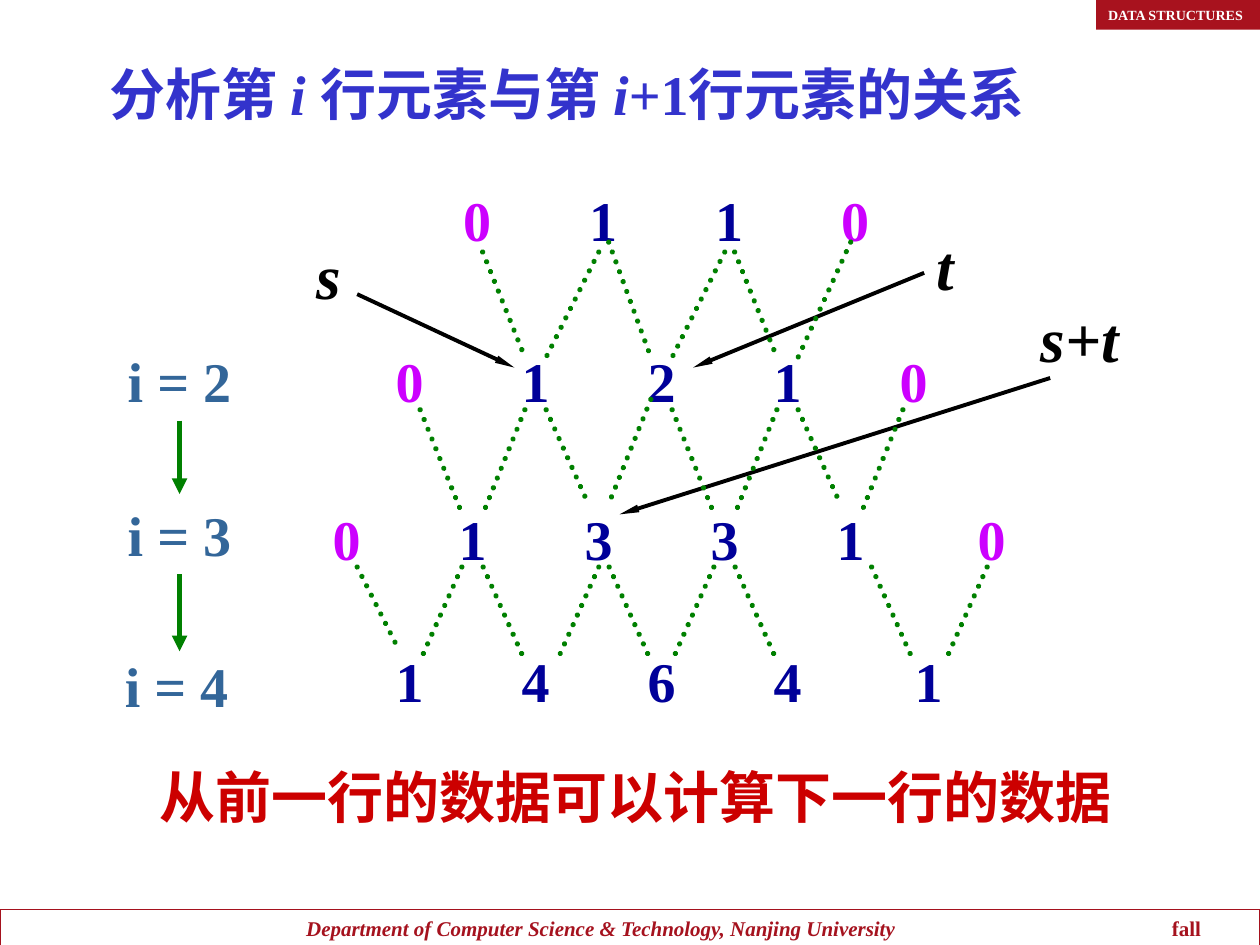
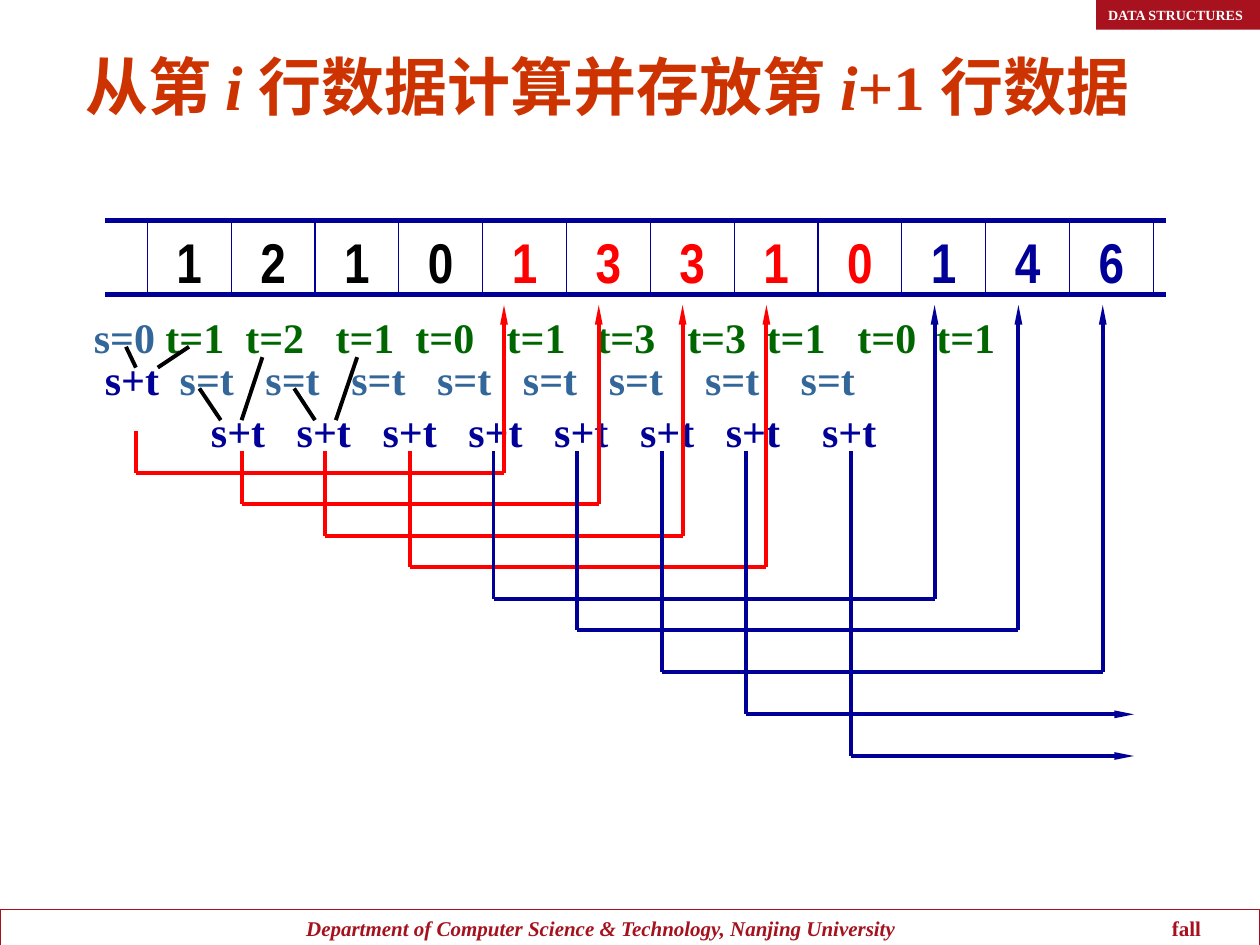
from lxml.etree import SubElement
from pptx import Presentation
from pptx.dml.color import RGBColor
from pptx.enum.dml import MSO_LINE
from pptx.enum.shapes import MSO_CONNECTOR, MSO_SHAPE
from pptx.enum.text import MSO_ANCHOR, PP_ALIGN
from pptx.oxml.ns import qn
from pptx.util import Cm, Pt

COLORS = {
    "white": "FFFFFF",
    "black": "000000",
    "crimson": "A5121E",
    "tag": "A8121E",
    "blue_title": "3333CC",
    "orange_title": "CC3300",
    "conclusion": "CC0000",
    "steel": "336699",
    "green": "008000",
    "dark_green": "006600",
    "navy": "000099",
    "magenta": "CC00FF",
    "red": "FF0000",
}
SERIF = "Times New Roman"
NARROW = "Arial Narrow"
SLIDE_WIDTH, SLIDE_HEIGHT = 25.4, 19.05
THIN_HEAD = ("sm", "lg")
WIDE_HEAD = ("med", "med")

NUMBER_PITCH = 2.54
TRIANGLE = [
    (9.62, 3.61, "0110", 0),
    (8.26, 6.86, "01210", 0),
    (6.99, 10.03, "013310", 0.3),
    (8.26, 12.9, "14641", 0.3),
]
LINKS = [
    (5.08, 7.2, 0.85, [9.73, 14.81]),
    (4.88, 7.2, 0.85, [12.27]),
    (5.08, 7.2, -1.06, [12.07, 14.61]),
    (4.88, 7.2, -1.06, [17.15]),
    (8.26, 10.37, 0.85, [8.47, 13.55]),
    (8.26, 10.16, 0.85, [11.01, 16.09]),
    (8.26, 10.37, -0.85, [10.58, 15.66, 18.2]),
    (8.05, 10.16, -0.85, [13.12]),
    (11.43, 13.12, 0.85, [7.2]),
    (11.43, 13.34, 0.85, [9.74, 12.28, 14.82, 17.57]),
    (11.43, 13.34, -0.85, [9.31, 12.07, 14.39, 19.9]),
]
POINTERS = [
    ("s", 6.63, 4.65, (7.2, 5.93), (10.37, 7.41)),
    ("t", 19.05, 4.45, (18.63, 5.5), (13.97, 7.41)),
    ("s+t", 21.77, 5.92, (21.17, 7.62), (12.49, 10.37)),
]

CELL_LEFT, CELL_PITCH = 2.97, 1.69
CELL_TOP, CELL_BOTTOM = 4.45, 5.93
CELL_GROUPS = [("1210", "black"), ("13310", "red"), ("146", "navy")]
T_VALUES = "1210133101"
T_CENTRES = [3.93, 5.54, 7.36, 8.97, 10.81, 12.62, 14.45, 16.05, 17.88, 19.47]
STEP = 1.73
COPY_CENTRES = [4.17 + STEP * k for k in range(6)] + [14.76, 16.69]
SUM_CENTRES = [4.8 + STEP * k for k in range(7)] + [17.12]
ARROW_TOP, SUM_BOTTOM = 6.15, 9.09
STORED_SUMS = [
    (2.74, 8.69, 9.53, 10.16, "red"),
    (4.87, SUM_BOTTOM, 10.16, 12.07, "red"),
    (6.56, SUM_BOTTOM, 10.8, 13.76, "red"),
    (8.26, SUM_BOTTOM, 11.43, 15.45, "red"),
    (9.95, SUM_BOTTOM, 12.07, 18.84, "navy"),
    (11.64, SUM_BOTTOM, 12.7, 20.53, "navy"),
    (13.34, SUM_BOTTOM, 13.55, 22.23, "navy"),
]
PENDING_SUMS = [(15.03, 14.4), (17.15, 15.24)]
OPERANDS = [
    ((2.54, 6.99), (2.74, 7.41)),
    ((3.81, 6.99), (3.18, 7.41)),
    ((4.02, 7.83), (4.45, 8.47)),
    ((5.29, 7.2), (4.87, 8.47)),
    ((5.93, 7.83), (6.35, 8.47)),
    ((7.2, 7.2), (6.77, 8.47)),
]


def rgb(color):
    return RGBColor.from_string(COLORS[color])


def style_font(paragraph, size, color, italic=False, name=SERIF):
    font = paragraph.font
    font.name, font.size = name, Pt(size)
    font.bold, font.italic = True, italic
    font.color.rgb = rgb(color)


def add_label(slide, text, centre, top, size, color, width=2.6, height=1.62,
              italic=False, name=SERIF):
    label = slide.shapes.add_textbox(
        Cm(centre - width / 2), Cm(top), Cm(width), Cm(height))
    frame = label.text_frame
    frame.word_wrap = True
    frame.vertical_anchor = MSO_ANCHOR.MIDDLE
    frame.margin_left = frame.margin_right = 0
    paragraph = frame.paragraphs[0]
    paragraph.text = text
    paragraph.alignment = PP_ALIGN.CENTER
    style_font(paragraph, size, color, italic, name)
    return label


def add_heading(slide, runs, left, top, width, size, color):
    heading = slide.shapes.add_textbox(Cm(left), Cm(top), Cm(width), Cm(1.62))
    heading.text_frame.word_wrap = True
    paragraph = heading.text_frame.paragraphs[0]
    style_font(paragraph, size, color)
    for text in runs:
        run = paragraph.add_run()
        run.text = text
        if text.strip() == "i":
            run.font.italic = True


def add_line(slide, start, end, color, width=2.25, head=None, dotted=False):
    line = slide.shapes.add_connector(
        MSO_CONNECTOR.STRAIGHT, *(Cm(value) for value in (*start, *end)))
    line.line.color.rgb = rgb(color)
    line.line.width = Pt(width)
    properties = line._element.spPr
    outline = properties.find(qn("a:ln"))
    if dotted:
        line.line.dash_style = MSO_LINE.ROUND_DOT
        outline.set("cap", "rnd")
    if head:
        SubElement(outline, qn("a:tailEnd"), type="triangle", w=head[0], len=head[1])
    SubElement(properties, qn("a:effectLst"))
    return line


def add_route(slide, points, color):
    last = len(points) - 2
    for index, (start, end) in enumerate(zip(points, points[1:])):
        add_line(slide, start, end, color, head=THIN_HEAD if index == last else None)


def add_box(slide, left, top, width, height):
    box = slide.shapes.add_shape(
        MSO_SHAPE.RECTANGLE, Cm(left), Cm(top), Cm(width), Cm(height))
    box.shadow.inherit = False
    return box


def add_page(presentation):
    slide = presentation.slides.add_slide(presentation.slide_layouts[6])
    footer = add_box(slide, 0, 18.33, SLIDE_WIDTH, 0.76)
    footer.fill.background()
    footer.line.color.rgb = rgb("crimson")
    footer.line.width = Pt(0.75)
    add_label(slide, "Department of Computer Science & Technology, Nanjing University",
              12.12, 18.33, 12, "crimson", width=16, height=0.76, italic=True)
    add_label(slide, "fall", 23.92, 18.33, 12, "crimson", width=2, height=0.76)
    tag = add_box(slide, 22.1, 0, 3.3, 0.6)
    tag.fill.solid()
    tag.fill.fore_color.rgb = rgb("tag")
    tag.line.fill.background()
    add_label(slide, "DATA STRUCTURES", 23.7, 0, 8, "white", width=3.2, height=0.6)
    return slide


def add_row_steps(slide):
    centres_and_tops = [(3.62, 6.86), (3.62, 9.96), (3.56, 13)]
    labels = [add_label(slide, f"i = {row}", centre, top, 32, "steel")
              for row, (centre, top) in enumerate(centres_and_tops, start=2)]
    first = add_line(slide, (3.62, 8.46), (3.62, 9.96), "green", 3, WIDE_HEAD)
    first.begin_connect(labels[0], 2)
    first.end_connect(labels[1], 0)
    second = add_line(slide, (3.62, 11.63), (3.62, 13.13), "green", 3, WIDE_HEAD)
    second.begin_connect(labels[1], 2)


def add_triangle(slide):
    for first_centre, top, digits, last_shift in TRIANGLE:
        for index, digit in enumerate(digits):
            centre = first_centre + index * NUMBER_PITCH
            if index == len(digits) - 1:
                centre += last_shift
            color = "magenta" if digit == "0" else "navy"
            add_label(slide, digit, centre, top, 32, color, width=1.2)
    for name, centre, top, start, end in POINTERS:
        add_line(slide, start, end, "black", head=THIN_HEAD)
        add_label(slide, name, centre, top, 36, "black", height=1.78, italic=True)
    for top, bottom, shift, starts in LINKS:
        for x in starts:
            add_line(slide, (x, top), (x + shift, bottom), "green", 3, dotted=True)


def add_queue(slide):
    for y in (CELL_TOP, CELL_BOTTOM):
        add_line(slide, (2.12, y), (23.5, y), "navy", 3)
    values = [(digit, color) for digits, color in CELL_GROUPS for digit in digits]
    for index in range(len(values) + 1):
        x = CELL_LEFT + index * CELL_PITCH
        add_line(slide, (x, CELL_TOP), (x, CELL_BOTTOM), "navy", 0.75)
    for index, (digit, color) in enumerate(values):
        centre = CELL_LEFT + (index + 0.5) * CELL_PITCH
        add_label(slide, digit, centre, CELL_TOP, 32, color, width=1.4, name=NARROW)


def add_formulas(slide):
    formulas = [("s=0", 2.51, 6.15, "steel"), ("s+t", 2.66, 6.99, "navy")]
    formulas += [(f"t={value}", centre, 6.15, "dark_green")
                 for value, centre in zip(T_VALUES, T_CENTRES)]
    formulas += [("s=t", centre, 6.99, "steel") for centre in COPY_CENTRES]
    formulas += [("s+t", centre, 8.05, "navy") for centre in SUM_CENTRES]
    for text, centre, top, color in formulas:
        add_label(slide, text, centre, top, 24, color, width=1.6, height=1.27)


def add_sum_routes(slide):
    for x, top, level, target, color in STORED_SUMS:
        add_route(slide, [(x, top), (x, level), (target, level), (target, ARROW_TOP)], color)
    for x, level in PENDING_SUMS:
        add_route(slide, [(x, SUM_BOTTOM), (x, level), (22.86, level)], "navy")
    for start, end in OPERANDS:
        add_line(slide, start, end, "black")


def main():
    presentation = Presentation()
    presentation.slide_width = Cm(SLIDE_WIDTH)
    presentation.slide_height = Cm(SLIDE_HEIGHT)

    relation = add_page(presentation)
    add_heading(relation, ["分析第 ", "i ", "行元素与第 ", "i", "+1行元素的关系"],
                1.96, 1.07, 22, 32, "blue_title")
    add_row_steps(relation)
    add_heading(relation, ["从前一行的数据可以计算下一行的数据"],
                2.97, 15.24, 20.32, 32, "conclusion")
    add_triangle(relation)

    storage = add_page(presentation)
    add_heading(storage, ["从第 ", "i ", "行数据计算并存放第 ", "i", "+1 行数据"],
                1.47, 0.84, 23.5, 36, "orange_title")
    add_queue(storage)
    add_formulas(storage)
    add_sum_routes(storage)

    presentation.save("out.pptx")


if __name__ == "__main__":
    main()
